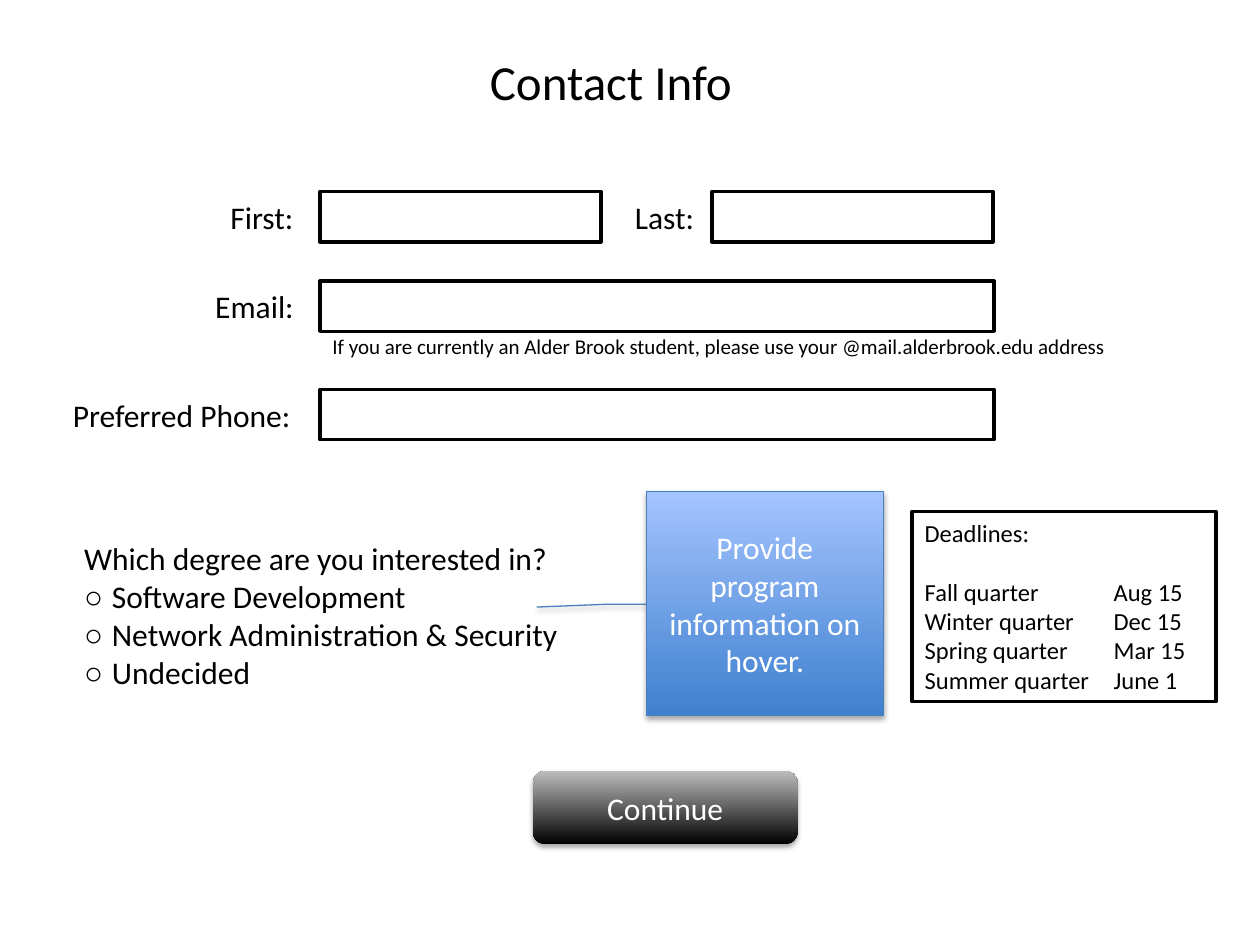
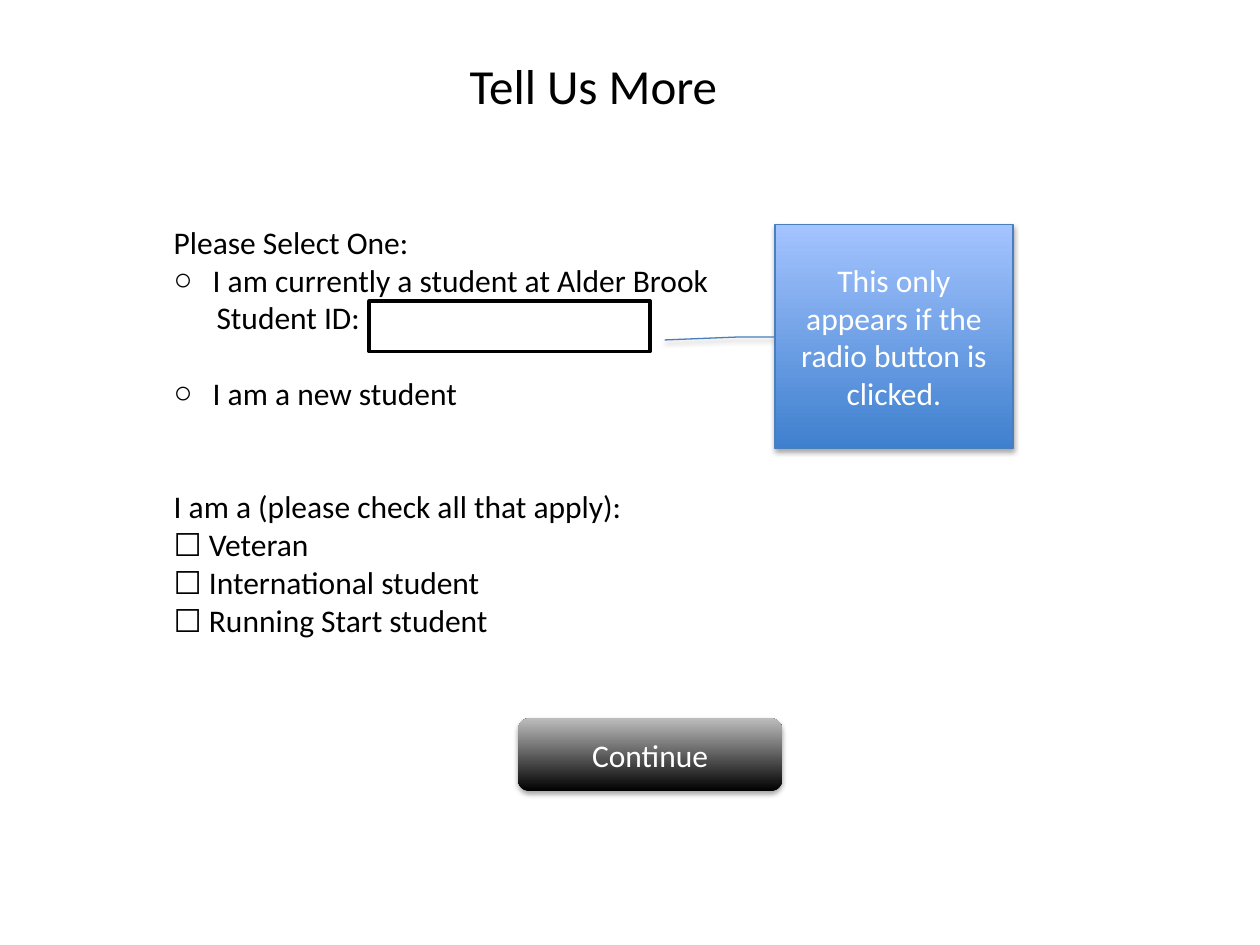
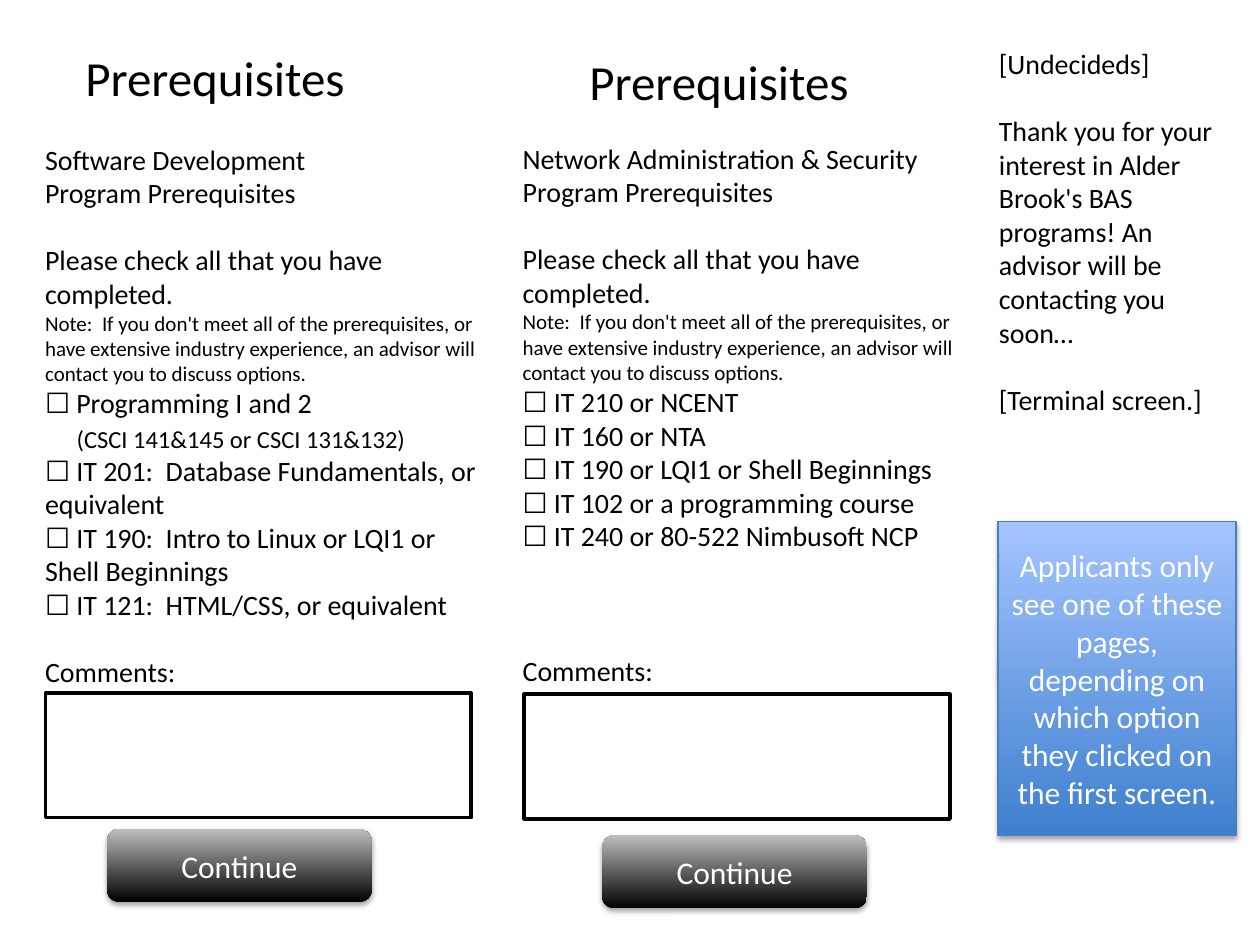
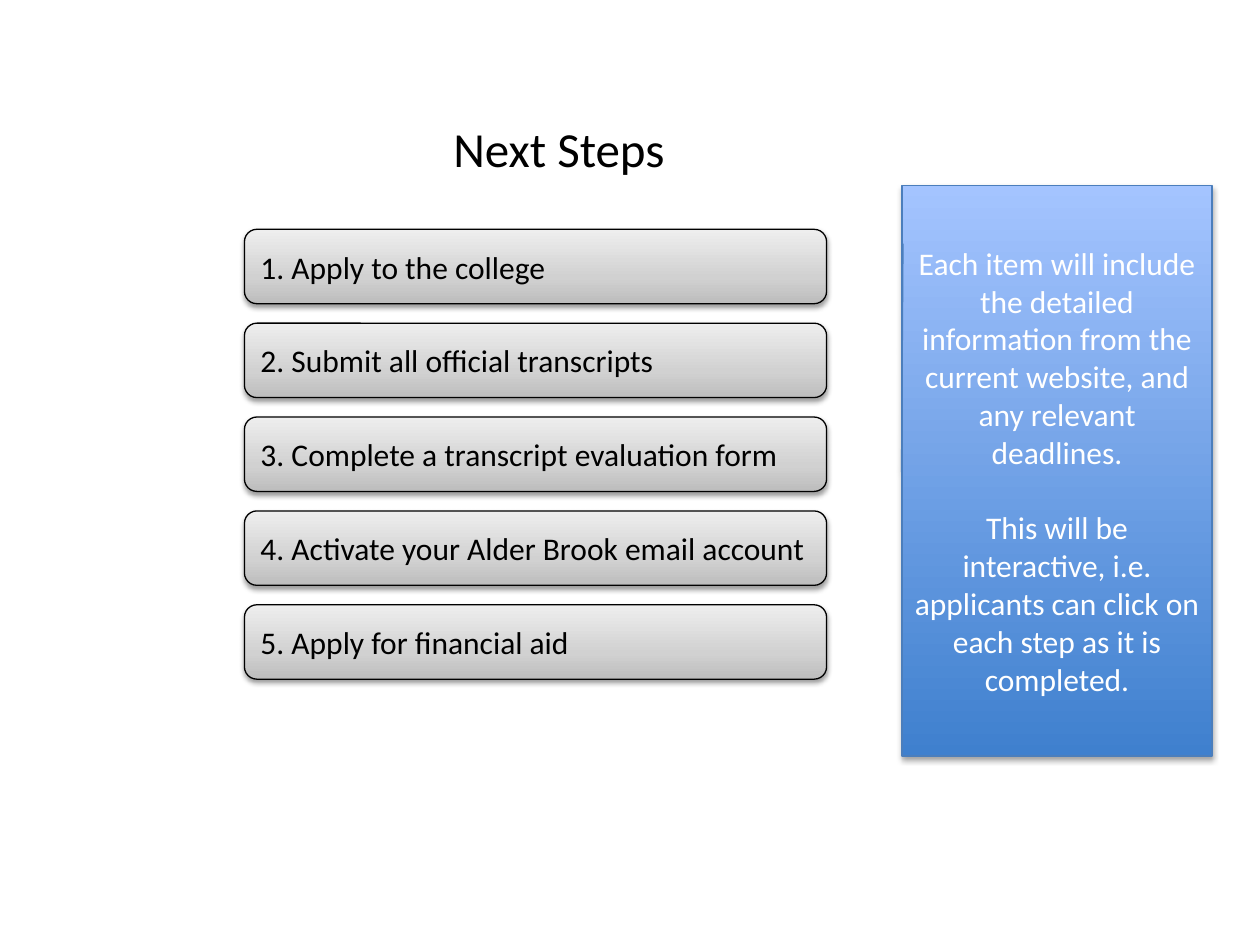
from typing import NamedTuple

from lxml.etree import SubElement
from pptx import Presentation
from pptx.dml.color import RGBColor
from pptx.enum.shapes import MSO_SHAPE
from pptx.enum.text import MSO_ANCHOR, MSO_AUTO_SIZE, PP_ALIGN
from pptx.oxml.ns import qn
from pptx.oxml.xmlchemy import OxmlElement
from pptx.shapes.autoshape import Shape
from pptx.slide import Slide
from pptx.text.text import TextFrame
from pptx.util import Inches, Pt

FONT, SIGNS = "Calibri", "Arial"
BLACK, WHITE, EDGE = "000000", "FFFFFF", "4B7EBC"
BLUE = {0: "3F80CE", 100: "A4C4FF"}
DARK = {0: "000000", 100: "BDBDBD"}
GREY = {0: "BDBDBD", 35: "D1D1D1", 100: "EEEEEE"}
LEADING = 1.2

# Callout pointers: three (y, x) pairs as shares of the shape's size
ARM = (0.503, -0.002, 0.503, -0.163, 0.516, -0.463)
STUB = (0.503, -0.002, 0.103, 0.003, 0.292, 0)


class Box(NamedTuple):
    left: float
    top: float
    width: float
    height: float

    def place(self) -> list[Inches]:
        return [Inches(side) for side in self]


class Para(NamedTuple):
    """A paragraph; gap is the space above in lines, mark a leading symbol."""
    text: str
    size: int = 18
    gap: float = 0
    mark: str = ""
    face: str = FONT
    bullet: str = ""
    left: float = 0
    tab: float = 0


class Field(NamedTuple):
    label: str
    start: float
    span: float
    entry: Box


def color(code: str) -> RGBColor:
    return RGBColor.from_string(code)


def circle(text: str) -> Para:
    return Para(text, mark="○ ", face=SIGNS)


def check(text: str, size: int = 16) -> Para:
    return Para(text, size, mark="☐ ", face="Noto Sans CJK JP")


def write(frame: TextFrame, paras: list[Para], ink: str = BLACK,
          align: PP_ALIGN = PP_ALIGN.LEFT) -> None:
    for i, para in enumerate(paras):
        line = frame.paragraphs[0] if i == 0 else frame.add_paragraph()
        line.alignment = align
        font = line.font
        font.name, font.size = FONT, Pt(para.size)
        font.color.rgb = color(ink)
        if para.gap:
            line.space_before = Pt(round(para.gap * para.size * LEADING, 1))
        if para.mark:
            run = line.add_run()
            run.text, run.font.name = para.mark, para.face
        line.add_run().text = para.text
        props = line._p.get_or_add_pPr()
        last = props.find(qn("a:defRPr"))
        if para.left:
            props.set("marL", str(Inches(para.left)))
        if para.bullet:
            props.set("indent", str(-Inches(para.left)))
            for tag, key, value in [("a:buFont", "typeface", SIGNS),
                                    ("a:buChar", "char", para.bullet)]:
                sign = OxmlElement(tag)
                sign.set(key, value)
                last.addprevious(sign)
        if para.tab:
            tabs = OxmlElement("a:tabLst")
            SubElement(tabs, qn("a:tab"), pos=str(Inches(para.tab)), algn="l")
            last.addprevious(tabs)


def note(slide: Slide, box: Box, paras: list[Para], wrap: bool = False) -> None:
    frame = slide.shapes.add_textbox(*box.place()).text_frame
    frame.word_wrap = wrap
    frame.auto_size = MSO_AUTO_SIZE.SHAPE_TO_FIT_TEXT
    write(frame, paras)


def title(slide: Slide, text: str, left: float, top: float, width: float) -> None:
    note(slide, Box(left, top, width, 0.57), [Para(text, 28)])


def frame_box(slide: Slide, box: Box) -> Shape:
    """White box with a black outline, for form entries and the deadlines."""
    shape = slide.shapes.add_shape(MSO_SHAPE.RECTANGLE, *box.place())
    shape.shadow.inherit = False
    shape.fill.solid()
    shape.fill.fore_color.rgb = color(WHITE)
    shape.line.color.rgb = color(BLACK)
    shape.line.width = Pt(2)
    return shape


def glossy(slide: Slide, kind: MSO_SHAPE, box: Box, stops: dict[int, str],
           edge: str = "", alpha: int = 35, drop: float = 1.8) -> Shape:
    """Shape with a gradient from bottom to top and a soft shadow below."""
    shape = slide.shapes.add_shape(kind, *box.place())
    shape.fill.solid()
    props = shape._element.spPr
    grad = OxmlElement("a:gradFill")
    ramp = SubElement(grad, qn("a:gsLst"))
    for pos, code in stops.items():
        stop = SubElement(ramp, qn("a:gs"), pos=str(pos * 1000))
        SubElement(stop, qn("a:srgbClr"), val=code)
    SubElement(grad, qn("a:lin"), ang=str(270 * 60000), scaled="0")
    props.replace(props.find(qn("a:solidFill")), grad)
    if edge:
        shape.line.color.rgb = color(edge)
        shape.line.width = Pt(0.75)
    else:
        shape.line.fill.background()
    shape.shadow.inherit = False
    shade = SubElement(props.find(qn("a:effectLst")), qn("a:outerShdw"),
                       blurRad=str(Pt(3.1)), dist=str(Pt(drop)),
                       dir=str(90 * 60000), rotWithShape="0")
    tint = SubElement(shade, qn("a:srgbClr"), val=BLACK)
    SubElement(tint, qn("a:alpha"), val=str(alpha * 1000))
    shape.text_frame.word_wrap = True
    shape.text_frame.vertical_anchor = MSO_ANCHOR.MIDDLE
    return shape


def button(slide: Slide, left: float, top: float) -> None:
    shape = glossy(slide, MSO_SHAPE.ROUNDED_RECTANGLE, Box(left, top, 2.1, 0.58), DARK)
    write(shape.text_frame, [Para("Continue")], WHITE, PP_ALIGN.CENTER)


def callout(slide: Slide, box: Box, pointer: tuple[float, ...],
            paras: list[Para]) -> None:
    shape = glossy(slide, MSO_SHAPE.LINE_CALLOUT_2, box, BLUE, EDGE)
    for i, share in enumerate(pointer):
        shape.adjustments[i] = share
    write(shape.text_frame, paras, WHITE, PP_ALIGN.CENTER)


def contact(slide: Slide) -> None:
    fields = [
        Field("First:", 1.73, 0.71, Box(2.54, 1.52, 2.23, 0.4)),
        Field("Last:", 4.94, 0.68, Box(5.65, 1.52, 2.23, 0.4)),
        Field("Email:", 1.61, 0.83, Box(2.54, 2.23, 5.35, 0.4)),
        Field("Preferred Phone:", 0.48, 1.96, Box(2.54, 3.09, 5.35, 0.4)),
    ]
    for label, start, span, entry in fields:
        note(slide, Box(start, entry.top, span, entry.height), [Para(label)])
        frame_box(slide, entry)
    note(slide, Box(2.54, 2.6, 6.4, 0.3), [Para(
        "If you are currently an Alder Brook student, please use your "
        "@mail.alderbrook.edu address", 12)])
    degrees = ["Software Development", "Network Administration & Security", "Undecided"]
    note(slide, Box(0.57, 4.23, 4.07, 1.31),
         [Para("Which degree are you interested in?"), *map(circle, degrees)])
    callout(slide, Box(5.13, 3.9, 1.88, 1.78), ARM,
            [Para("Provide program information on hover.")])

    dates = {"Fall": "Aug 15", "Winter": "Dec 15", "Spring": "Mar 15", "Summer": "June 1"}
    rows = [Para(f"{term} quarter\t{day}", 14, gap=int(term == "Fall"), tab=1.5)
            for term, day in dates.items()]
    frame = frame_box(slide, Box(7.24, 4.06, 2.41, 1.51)).text_frame
    frame.word_wrap = True
    frame.vertical_anchor = MSO_ANCHOR.TOP
    write(frame, [Para("Deadlines:", 14), *rows])
    button(slide, 4.23, 6.12)
    title(slide, "Contact Info", 3.79, 0.36, 2.16)


def details(slide: Slide) -> None:
    groups = ["Veteran", "International student", "Running Start student"]
    note(slide, Box(1.28, 1.72, 4.51, 3.43), [
        Para("Please Select One:"),
        Para("I am currently a student at Alder Brook", bullet="○", left=0.31),
        Para("Student ID:", left=0.34),
        Para("I am a new student", gap=1, bullet="○", left=0.31),
        Para("I am a (please check all that apply):", gap=2),
        *[check(group, 18) for group in groups],
    ])
    callout(slide, Box(6.15, 1.78, 1.89, 1.78), ARM,
            [Para("This only appears if the radio button is clicked.")])
    button(slide, 4.11, 5.7)
    frame_box(slide, Box(2.93, 2.39, 2.23, 0.4))
    title(slide, "Tell Us More", 3.63, 0.39, 2.23)


def courses(slide: Slide, left: float, top: float, heads: list[str],
            items: list[Para], gap: int) -> None:
    """One programme's column of prerequisites, ending in its comments label."""
    note(slide, Box(left, top, 3.64, 4.75), [
        *[Para(head, 16) for head in heads],
        Para("Please check all that you have completed.", 16, gap=1),
        Para("Note:  If you don't meet all of the prerequisites, or have extensive "
             "industry experience, an advisor will contact you to discuss options.", 12),
        *items,
        Para("Comments:", 16, gap=gap),
    ], wrap=True)


def prereqs(slide: Slide) -> None:
    courses(slide, 0.26, 1.08, ["Software Development", "Program Prerequisites"], [
        check("Programming I and 2"),
        Para("(CSCI 141&145 or CSCI 131&132)", 14, gap=0.15, left=0.25),
        check("IT 201:  Database Fundamentals, or equivalent"),
        check("IT 190:  Intro to Linux or LQI1 or Shell Beginnings"),
        check("IT 121:  HTML/CSS, or equivalent"),
    ], 1)
    skills = ["IT 210 or NCENT", "IT 160 or NTA", "IT 190 or LQI1 or Shell Beginnings",
              "IT 102 or a programming course", "IT 240 or 80-522 Nimbusoft NCP"]
    courses(slide, 4.05, 1.07,
            ["Network Administration & Security Program Prerequisites"],
            [check(skill) for skill in skills], 3)
    for left, top in [(0.36, 5.5), (4.16, 5.51)]:
        frame_box(slide, Box(left, top, 3.38, 0.99))
    for left, top in [(0.85, 6.58), (4.78, 6.63)]:
        button(slide, left, top)
    for left, top in [(0.58, 0.33), (4.58, 0.36)]:
        title(slide, "Prerequisites", left, top, 2.3)
    note(slide, Box(7.83, 0.32, 1.93, 3.33), [
        Para("[Undecideds]", 16),
        Para("Thank you for your interest in Alder Brook's BAS programs! "
             "An advisor will be contacting you soon…", 16, gap=1),
        Para("[Terminal screen.]", 16, gap=1),
    ], wrap=True)
    callout(slide, Box(7.92, 4.14, 1.89, 2.49), STUB, [Para(
        "Applicants only see one of these pages, depending on which option "
        "they clicked on the first screen.")])


def steps(slide: Slide) -> None:
    title(slide, "Next Steps", 3.5, 0.89, 1.91)
    tasks = ["Apply to the college", "Submit all official transcripts",
             "Complete a transcript evaluation form",
             "Activate your Alder Brook email account", "Apply for financial aid"]
    first, last = 1.82, 4.8
    pitch = (last - first) / (len(tasks) - 1)
    for i, task in enumerate(tasks):
        bar = glossy(slide, MSO_SHAPE.ROUNDED_RECTANGLE,
                     Box(1.94, first + i * pitch, 4.62, 0.59), GREY, BLACK, 38, 1.6)
        write(bar.text_frame, [Para(f"{i + 1}. {task}")])
    callout(slide, Box(7.16, 1.47, 2.46, 4.53), STUB, [
        Para("Each item will include the detailed information from the current "
             "website, and any relevant deadlines."),
        Para("This will be interactive, i.e. applicants can click on each step "
             "as it is completed.", gap=1),
    ])


def main() -> None:
    deck = Presentation()
    deck.slide_width, deck.slide_height = Inches(10), Inches(7.5)
    for draw in (contact, details, prereqs, steps):
        draw(deck.slides.add_slide(deck.slide_layouts[6]))
    deck.save("out.pptx")


if __name__ == "__main__":
    main()
